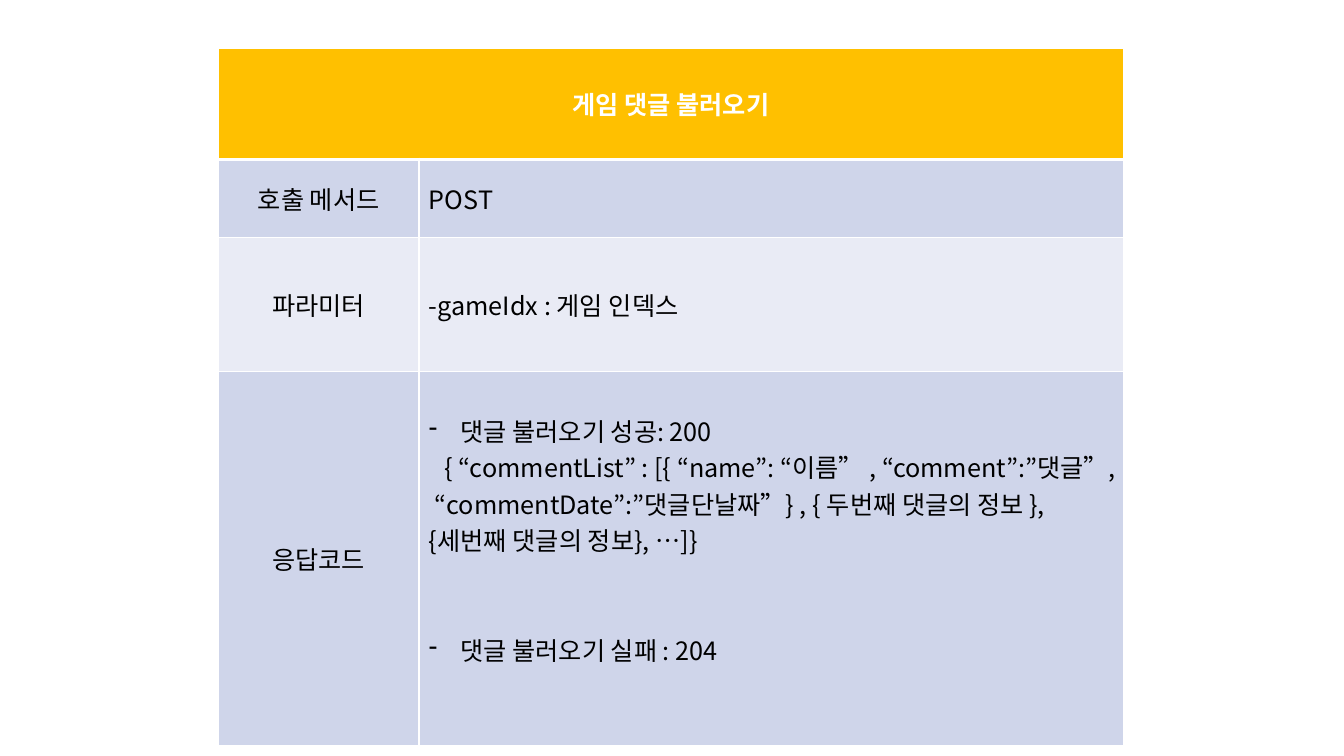
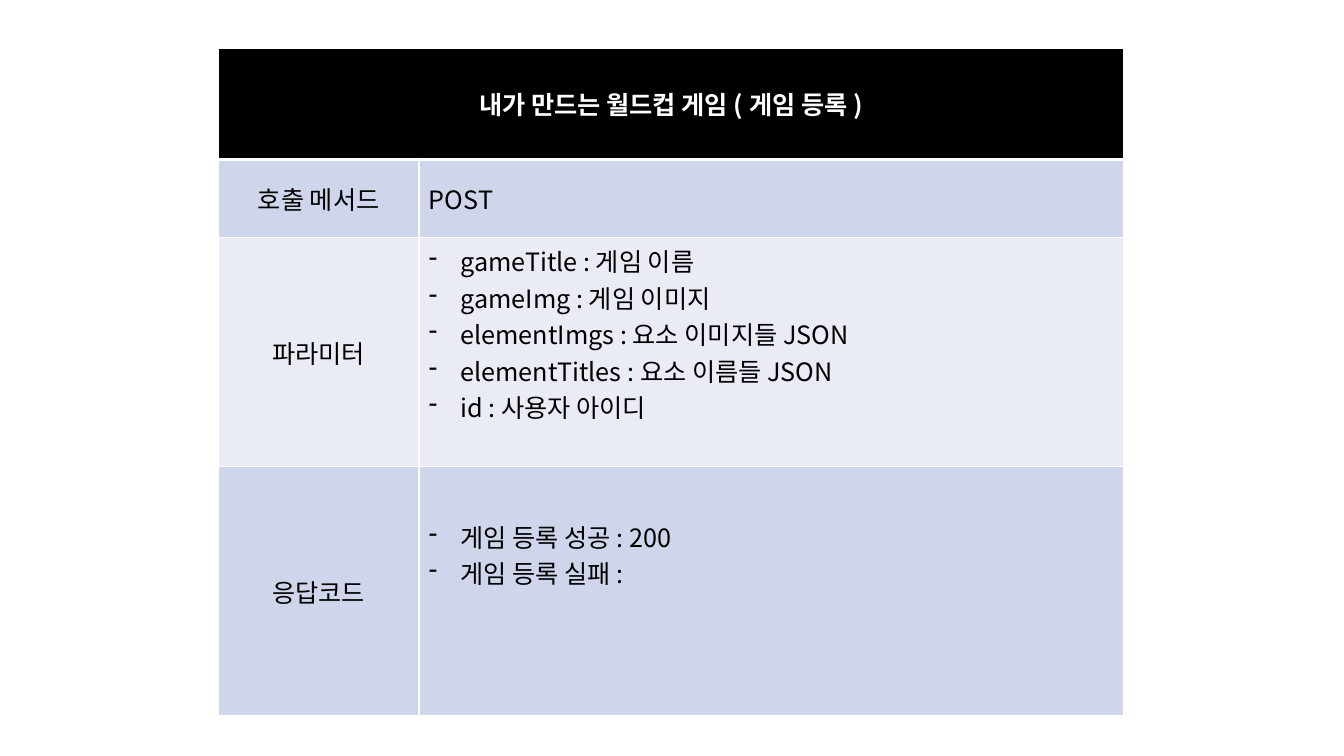
from dataclasses import dataclass

from lxml.etree import SubElement
from pptx import Presentation
from pptx.dml.color import RGBColor
from pptx.enum.text import MSO_ANCHOR, PP_ALIGN
from pptx.oxml import parse_xml
from pptx.oxml.ns import nsdecls, qn
from pptx.util import Emu, Pt


def px(length):
    return Emu(length * 9525)


@dataclass(frozen=True)
class Theme:
    font: str = "Noto Sans CJK KR"
    size: int = 18
    white: str = "FFFFFF"
    ink: str = "000000"
    amber: str = "FFC000"
    black: str = "000000"
    bands: tuple = ("CFD5EA", "E9EBF5")
    rule: int = 1
    header_rule: int = 3


THEME = Theme()
LINE = 35  # height of one text line
INDENT = 30
MARGIN = 5
TABLE_BOX = (208, 46, 862)
LABEL_WIDTH = 191
HEADER_HEIGHT = 106


@dataclass(frozen=True)
class Line:
    text: str
    bullet: bool = False
    first_indent: int = 0
    lines_before: int = 0


@dataclass(frozen=True)
class Row:
    label: str
    height: int
    lines: tuple
    lines_below: int = 0


def bullets(*texts):
    return tuple(Line(text, bullet=True) for text in texts)


METHOD = Row("호출 메서드", 74, (Line("POST"),))

COMMENTS = (
    METHOD,
    Row("파라미터", 128, (Line("-gameIdx : 게임 인덱스"),)),
    Row("응답코드", 356, (
        Line("댓글 불러오기 성공: 200", bullet=True),
        Line("{ “commentList” : [{ “name”: “이름” , “comment”:”댓글”, "
             "“commentDate”:”댓글단날짜”} , { 두번째 댓글의 정보 }, "
             "{세번째 댓글의 정보}, …]}", first_indent=15),
        Line("댓글 불러오기 실패 : 204", bullet=True, lines_before=2),
    ), lines_below=1),
)

REGISTRATION = (
    METHOD,
    Row("파라미터", 218, bullets(
        "gameTitle : 게임 이름",
        "gameImg : 게임 이미지",
        "elementImgs : 요소 이미지들 JSON",
        "elementTitles : 요소 이름들 JSON",
        "id : 사용자 아이디",
    ), lines_below=1),
    Row("응답코드", 237, bullets("게임 등록 성공 : 200", "게임 등록 실패 :"),
        lines_below=2),
)


def set_borders(cell, top, bottom):
    properties = cell._tc.get_or_add_tcPr()
    sides = (("L", THEME.rule), ("R", THEME.rule), ("T", top), ("B", bottom))
    for position, (side, width) in enumerate(sides):
        properties.insert(position, parse_xml(
            f'<a:ln{side} {nsdecls("a")} w="{Pt(width)}"><a:solidFill>'
            f'<a:srgbClr val="{THEME.white}"/></a:solidFill></a:ln{side}>'))


def format_paragraph(paragraph, line, color, bold, align):
    paragraph.text = line.text
    paragraph.alignment = align
    properties = paragraph._p.get_or_add_pPr()
    if line.bullet:
        properties.set("marL", str(px(INDENT)))
        properties.set("indent", str(px(-INDENT)))
        SubElement(properties, qn("a:buChar"), char="-")
    elif line.first_indent:
        properties.set("indent", str(px(line.first_indent)))
    if line.lines_before:
        paragraph.space_before = px(line.lines_before * LINE)
    for run in paragraph.runs:
        run.font.name = THEME.font
        run.font.size = Pt(THEME.size)
        run.font.bold = bold
        run.font.color.rgb = RGBColor.from_string(color)
        SubElement(run.font._element, qn("a:ea"), typeface=THEME.font)


def fill_cell(cell, lines, fill, color=THEME.ink, bold=False,
              align=PP_ALIGN.LEFT, lines_below=0):
    cell.fill.solid()
    cell.fill.fore_color.rgb = RGBColor.from_string(fill)
    cell.vertical_anchor = MSO_ANCHOR.MIDDLE
    cell.margin_top = px(MARGIN)
    cell.margin_bottom = px(MARGIN + lines_below * LINE)
    frame = cell.text_frame
    for index, line in enumerate(lines):
        paragraph = frame.add_paragraph() if index else frame.paragraphs[0]
        format_paragraph(paragraph, line, color, bold, align)


def add_api_table(slide, box, title, header_fill, rows):
    left, top, width = box
    heights = [HEADER_HEIGHT] + [row.height for row in rows]
    table = slide.shapes.add_table(len(heights), 2, px(left), px(top),
                                   px(width), px(sum(heights))).table
    table.columns[0].width = px(LABEL_WIDTH)
    table.columns[1].width = px(width - LABEL_WIDTH)
    for index, height in enumerate(heights):
        table.rows[index].height = px(height)
        for cell in table.rows[index].cells:
            set_borders(cell,
                        THEME.header_rule if index == 1 else THEME.rule,
                        THEME.header_rule if index == 0 else THEME.rule)

    header = table.cell(0, 0)
    header.merge(table.cell(0, 1))
    fill_cell(header, (Line(title),), header_fill, THEME.white, True,
              PP_ALIGN.CENTER)
    for index, row in enumerate(rows):
        band = THEME.bands[index % 2]
        fill_cell(table.cell(index + 1, 0), (Line(row.label),), band,
                  align=PP_ALIGN.CENTER)
        fill_cell(table.cell(index + 1, 1), row.lines, band,
                  lines_below=row.lines_below)


def main():
    deck = Presentation()
    deck.slide_width, deck.slide_height = px(1280), px(720)
    blank = deck.slide_layouts[6]
    for title, header_fill, rows in (
        ("게임 댓글 불러오기", THEME.amber, COMMENTS),
        ("내가 만드는 월드컵 게임 ( 게임 등록 )", THEME.black, REGISTRATION),
    ):
        add_api_table(deck.slides.add_slide(blank), TABLE_BOX, title,
                      header_fill, rows)
    deck.save("out.pptx")


if __name__ == "__main__":
    main()
